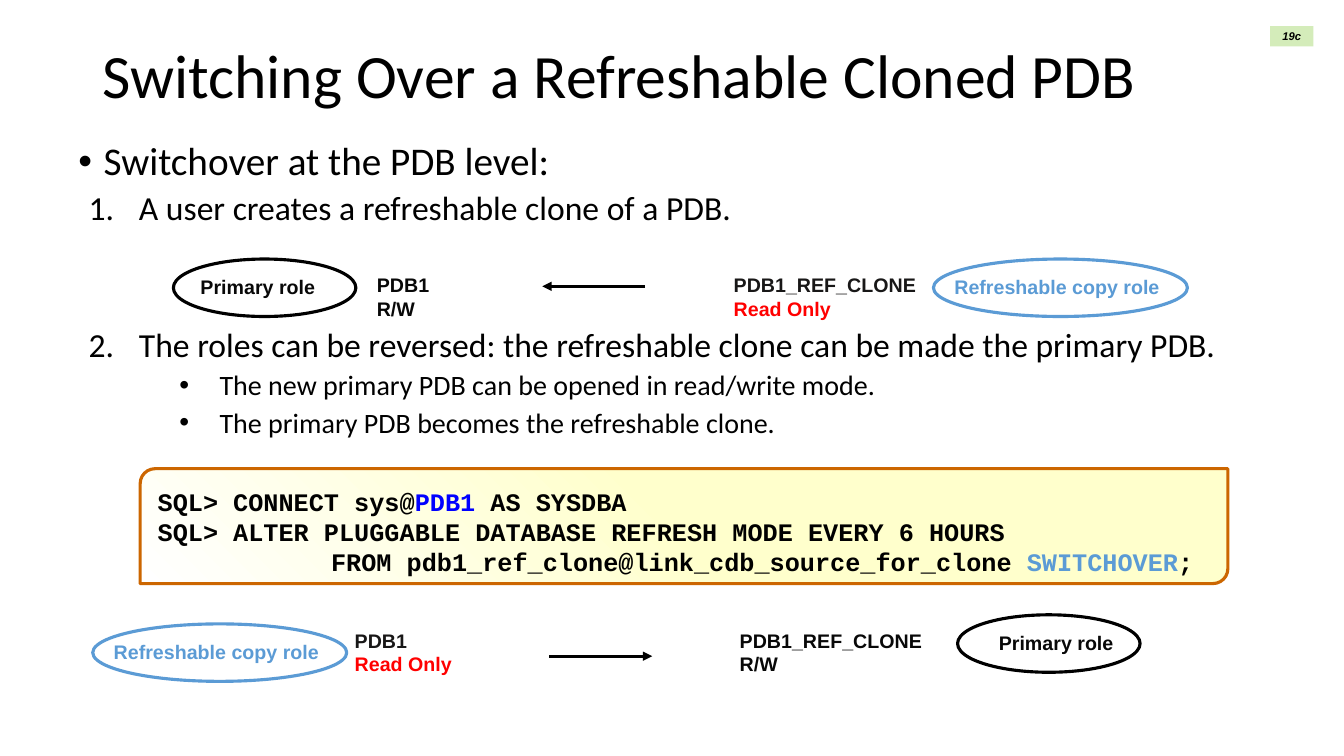
"""Build the slide on switching over a refreshable cloned PDB."""
from lxml import etree
from pptx import Presentation
from pptx.dml.color import RGBColor
from pptx.enum.shapes import MSO_CONNECTOR, MSO_SHAPE
from pptx.enum.text import MSO_ANCHOR, PP_ALIGN
from pptx.oxml.ns import qn
from pptx.util import Inches, Pt

STRAIGHT = MSO_CONNECTOR.STRAIGHT
RECTANGLE, ELLIPSE = MSO_SHAPE.RECTANGLE, MSO_SHAPE.OVAL
CODE_PANEL = MSO_SHAPE.ROUND_2_DIAG_RECTANGLE
TOP, MIDDLE = MSO_ANCHOR.TOP, MSO_ANCHOR.MIDDLE
CENTER, LEFT = PP_ALIGN.CENTER, PP_ALIGN.LEFT
COLORS = {
    "black": "000000", "ink": "080808", "charcoal": "181717", "red": "FF0000",
    "sky": "5B9BD5", "blue": "0000FF", "orange": "CC6600", "cream": "FFFFCC",
    "white": "FFFFFF", "mint": "D4ECBA",
}
COLORS = {name: RGBColor.from_string(value) for name, value in COLORS.items()}

presentation = Presentation()
presentation.slide_width, presentation.slide_height = Inches(13.33), Inches(7.5)
COLUMN, ROW = presentation.slide_width / 100, presentation.slide_height / 100
slide = presentation.slides.add_slide(presentation.slide_layouts[6])


def grid(left, top, width, height):
    """Turn hundredths of the slide into lengths."""
    return [int(share * unit) for share, unit in
            zip((left, top, width, height), (COLUMN, ROW, COLUMN, ROW))]


def add_run(paragraph, text, size, color, font="Arial", bold=True):
    """Add one styled run."""
    run = paragraph.add_run()
    run.text = text
    run.font.size, run.font.name, run.font.bold = Pt(size), font, bold
    run.font.color.rgb = COLORS[color]
    return run


badge = slide.shapes.add_shape(RECTANGLE, *grid(94.5, 3.47, 3.23, 2.67))
badge.shadow.inherit = False
badge.fill.solid()
badge.fill.fore_color.rgb = COLORS["mint"]
badge.line.fill.background()
frame = badge.text_frame
frame.margin_left = frame.margin_top = frame.margin_right = frame.margin_bottom = 0
frame.vertical_anchor = MIDDLE
frame.paragraphs[0].alignment = CENTER
add_run(frame.paragraphs[0], "19c", 8, "black").font.italic = True

title = slide.shapes.add_textbox(*grid(6.9, 5.33, 86.25, 19.33)).text_frame
title.word_wrap = True
title.paragraphs[0].line_spacing = 0.9
add_run(title.paragraphs[0], "Switching Over a Refreshable Cloned PDB", 44, "black", "Calibri", False)

LEVELS = [(28, 0.25, 0.25), (24, 0.6, 0.5), (20, 1.4, 0.4)]
STEPS = [
    (0, 0, None, "Switchover at the PDB level:"),
    (1, 5, 1, "A user creates a refreshable clone of a PDB."),
    (1, 72, 2, "The roles can be reversed: the refreshable clone can be made the primary PDB."),
    (2, 5, None, "The new primary PDB can be opened in read/write mode."),
    (2, 5, None, "The primary PDB becomes the refreshable clone."),
]
body = slide.shapes.add_textbox(*grid(5.1, 18.13, 89.78, 43.2)).text_frame
body.word_wrap = True
for index, (level, space, number, text) in enumerate(STEPS):
    paragraph = body.add_paragraph() if index else body.paragraphs[0]
    size, margin, hanging = LEVELS[level]
    paragraph.level = level
    paragraph.line_spacing = 0.9
    paragraph.space_before = Pt(space)
    properties = paragraph._p.get_or_add_pPr()
    properties.set("marL", str(Inches(margin)))
    properties.set("indent", str(-Inches(hanging)))
    if number:
        etree.SubElement(properties, qn("a:buAutoNum"), type="arabicPeriod", startAt=str(number))
    else:
        etree.SubElement(properties, qn("a:buFont"), typeface="Arial")
        etree.SubElement(properties, qn("a:buChar"), char="•")
    add_run(paragraph, text, size, "black", "Calibri", False)

panel = slide.shapes.add_shape(CODE_PANEL, *grid(10.43, 62, 80.93, 15.2))
panel.shadow.inherit = False
panel.adjustments[0], panel.adjustments[1] = 0.13, 0
panel.fill.gradient()
panel.fill.gradient_angle = 225
for stop, position, color in zip(panel.fill.gradient_stops, (0.5, 1), ("cream", "white")):
    stop.position = position
    stop.color.rgb = COLORS[color]
panel.line.color.rgb, panel.line.width = COLORS["orange"], Pt(2.25)
frame = panel.text_frame
frame.word_wrap = True
frame.vertical_anchor = TOP
frame.margin_left = frame.margin_top = Inches(0.13)
frame.margin_right = frame.margin_bottom = Inches(0.02)
CODE = [
    [("SQL> CONNECT sys@", "black"), ("PDB1 ", "blue"), ("AS SYSDBA", "black")],
    [("SQL> ALTER PLUGGABLE DATABASE REFRESH MODE EVERY 6 HOURS", "black"), None,
     ("       FROM pdb1_ref_clone@link_cdb_source_for_clone ", "black"),
     ("SWITCHOVER", "sky"), (";", "black")],
]
for index, pieces in enumerate(CODE):
    paragraph = frame.add_paragraph() if index else frame.paragraphs[0]
    paragraph.alignment = LEFT
    properties = paragraph._p.get_or_add_pPr()
    properties.set("marL", str(Inches(0.67)))
    properties.set("indent", str(-Inches(0.67)))
    for piece in pieces:
        if piece:
            add_run(paragraph, piece[0], 18, piece[1], "Courier New")
        else:
            paragraph.add_line_break()

PRIMARY = ("Primary role", 13.58, "black", "ink")
COPY = ("Refreshable copy role", 18.9, "sky", "sky")
ROLES = [
    (12.9, 34.27, 1.28, PRIMARY), (69.45, 34.27, 0.82, COPY),
    (71.25, 81.33, 2.33, PRIMARY), (6.9, 82.53, 0.82, COPY),
]
labels = [
    (53.85, 35.47, 23.33, 7.6, [("PDB1_REF_CLONE", "charcoal"), ("Read Only", "red")]),
    (27.3, 35.47, 6.75, 7.6, [("PDB1", "ink"), ("R/W", "ink")]),
    (54.3, 82.53, 16.95, 7.6, [("PDB1_REF_CLONE", "ink"), ("R/W", "ink")]),
    (25.65, 82.53, 10.8, 7.6, [("PDB1", "charcoal"), ("Read Only", "red")]),
]
for left, top, offset, (role, width, outline, color) in ROLES:
    ellipse = slide.shapes.add_shape(ELLIPSE, *grid(left, top, width, 7.6))
    ellipse.shadow.inherit = False
    ellipse.fill.background()
    ellipse.line.color.rgb, ellipse.line.width = COLORS[outline], Pt(2.25)
    labels.append((left + offset, top + 1.47, width, 4.53, [(role, color)]))

for left, top, width, height, lines in labels:
    frame = slide.shapes.add_textbox(*grid(left, top, width, height)).text_frame
    frame.word_wrap = True
    for index, (text, color) in enumerate(lines):
        paragraph = frame.add_paragraph() if index else frame.paragraphs[0]
        add_run(paragraph, text, 14, color)

for start, end, height in [(48, 40.35, 37.87), (40.88, 48.53, 86.8)]:
    arrow = slide.shapes.add_connector(STRAIGHT, *grid(start, height, end, height))
    arrow.line.color.rgb, arrow.line.width = COLORS["black"], Pt(2.25)
    etree.SubElement(arrow.line._get_or_add_ln(), qn("a:tailEnd"), type="triangle")
    etree.SubElement(arrow._element.spPr, qn("a:effectLst"))

presentation.save("out.pptx")
